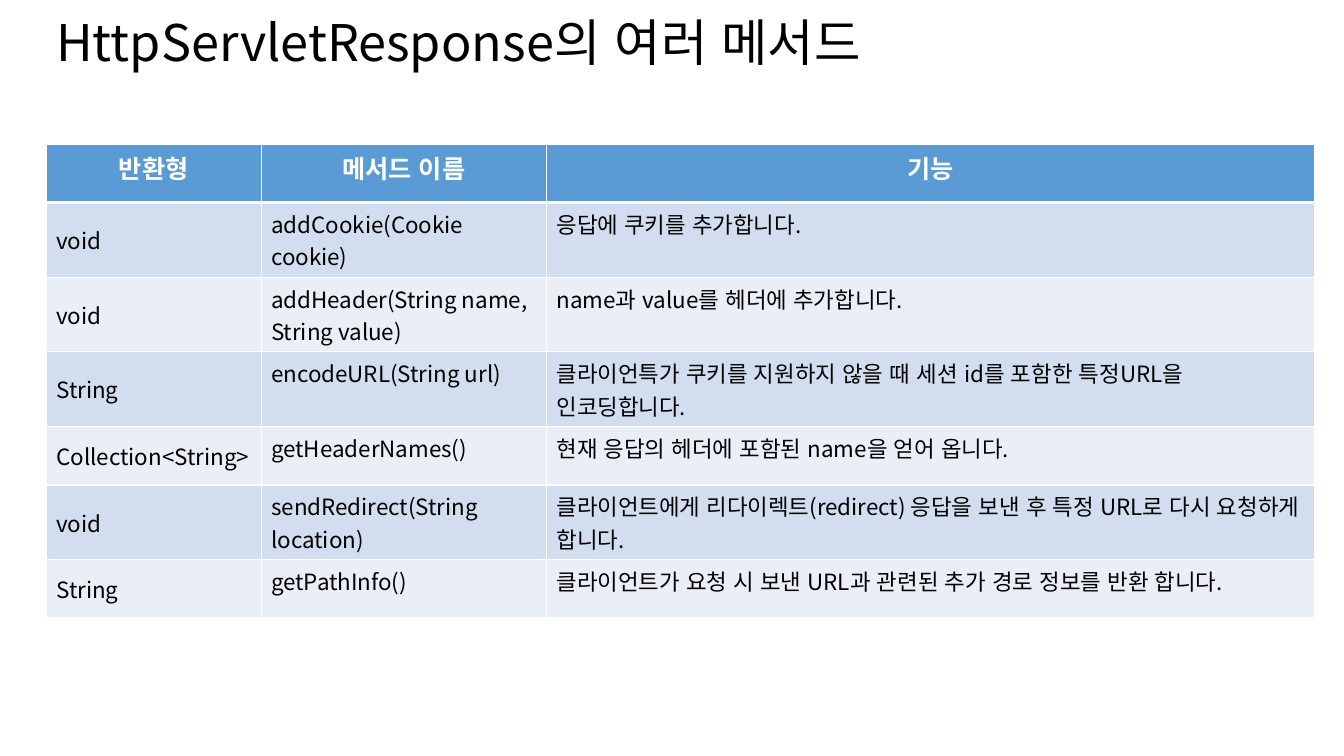
from lxml import etree
from pptx import Presentation
from pptx.dml.color import RGBColor
from pptx.enum.lang import MSO_LANGUAGE_ID
from pptx.enum.text import MSO_ANCHOR, PP_ALIGN
from pptx.oxml.ns import qn
from pptx.util import Inches, Pt

KOREAN = MSO_LANGUAGE_ID.KOREAN
TOP, MIDDLE, BOTTOM = MSO_ANCHOR.TOP, MSO_ANCHOR.MIDDLE, MSO_ANCHOR.BOTTOM
LEFT, CENTER = PP_ALIGN.LEFT, PP_ALIGN.CENTER
FONT = "Noto Sans CJK KR"
BLACK, WHITE, HEADER_BLUE = "000000", "FFFFFF", "5B9BD5"
BANDS = ("D2DEEF", "EAEFF7")

# Content
TITLE = "HttpServletResponse의 여러 메서드"
HEADERS = ("반환형", "메서드 이름", "기능")
METHODS = [
    ("void", "addCookie(Cookie cookie)", "응답에 쿠키를 추가합니다."),
    ("void", "addHeader(String name, String value)",
     "name과 value를 헤더에 추가합니다."),
    ("String", "encodeURL(String url)",
     "클라이언특가 쿠키를 지원하지 않을 때 세션 id를 포함한 특정URL을 인코딩합니다."),
    ("Collection<String>", "getHeaderNames()",
     "현재 응답의 헤더에 포함된 name을 얻어 옵니다."),
    ("void", "sendRedirect(String location)",
     "클라이언트에게 리다이렉트(redirect) 응답을 보낸 후 특정 URL로 다시 요청하게 합니다."),
    ("String", "getPathInfo()",
     "클라이언트가 요청 시 보낸 URL과 관련된 추가 경로 정보를 반환 합니다."),
]
COL_WIDTHS = (2.13, 2.83, 7.62)
ROW_HEIGHT = 0.58
MARGIN = 0.46


def rgb(color):
    return RGBColor.from_string(color)


def add_run(p, text, size, color, bold=False):
    r = p.add_run()
    r.text = text
    r.font.size, r.font.bold, r.font.name = Pt(size), bold, FONT
    r.font.color.rgb = rgb(color)
    r.font.language_id = KOREAN
    ea = etree.Element(qn("a:ea"), typeface=FONT)
    r.font._element.find(qn("a:latin")).addnext(ea)


def set_borders(cell, bottom=1, top=1):
    tc_pr = cell._tc.get_or_add_tcPr()
    sides = (("a:lnL", 1), ("a:lnR", 1), ("a:lnT", top), ("a:lnB", bottom))
    for i, (tag, width) in enumerate(sides):
        ln = etree.Element(qn(tag), w=str(Pt(width)))
        fill = etree.SubElement(ln, qn("a:solidFill"))
        etree.SubElement(fill, qn("a:srgbClr"), val=WHITE)
        tc_pr.insert(i, ln)


prs = Presentation()
prs.slide_width, prs.slide_height = Inches(13.33), Inches(7.5)
s = prs.slides.add_slide(prs.slide_layouts[6])

# Method table
rows = [HEADERS] + METHODS
frame = s.shapes.add_table(len(rows), len(HEADERS), Inches(MARGIN), Inches(1.43),
                           Inches(sum(COL_WIDTHS)), Inches(ROW_HEIGHT * len(rows)))
table = frame.table
for col, width in zip(table.columns, COL_WIDTHS):
    col.width = Inches(width)
for i, texts in enumerate(rows):
    table.rows[i].height = Inches(ROW_HEIGHT)
    header = i == 0
    for j, text in enumerate(texts):
        cell = table.cell(i, j)
        cell.fill.solid()
        cell.fill.fore_color.rgb = rgb(HEADER_BLUE if header else BANDS[(i - 1) % 2])
        cell.vertical_anchor = MIDDLE if j == 0 and not header else TOP
        set_borders(cell, bottom=3 if header else 1, top=3 if i == 1 else 1)
        p = cell.text_frame.paragraphs[0]
        p.alignment = CENTER if header else LEFT
        if header:
            add_run(p, text, 18, WHITE, bold=True)
        else:
            add_run(p, text, 16, BLACK)

# Title
sp = s.shapes.add_textbox(Inches(MARGIN), Inches(0.08), Inches(11.5), Inches(0.69))
tf = sp.text_frame
tf.word_wrap = True
tf.vertical_anchor = BOTTOM
p = tf.paragraphs[0]
p.line_spacing = 0.9
add_run(p, TITLE, 36, BLACK)

prs.save("out.pptx")
